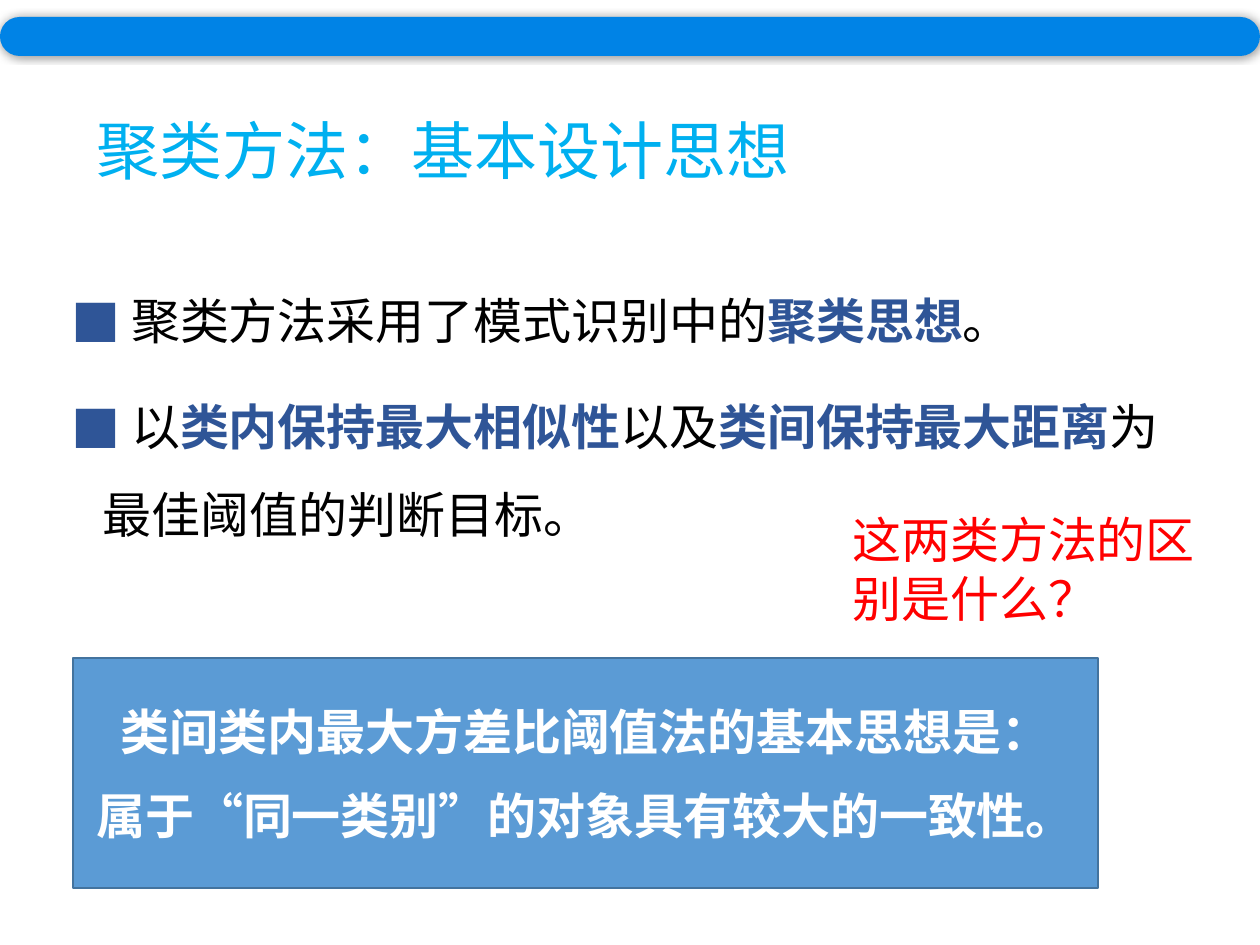
from dataclasses import dataclass

from lxml.etree import SubElement
from pptx import Presentation
from pptx.dml.color import RGBColor
from pptx.enum.shapes import MSO_SHAPE
from pptx.enum.text import MSO_ANCHOR, MSO_AUTO_SIZE, PP_ALIGN
from pptx.oxml.ns import qn
from pptx.util import Emu, Pt


@dataclass(frozen=True)
class Theme:
    font: str = "Noto Sans CJK SC"
    title_size: int = 36
    text_size: int = 28
    title: str = "00B0F0"
    text: str = "000000"
    accent: str = "2F5597"
    question: str = "FF0000"
    banner: str = "0083E6"
    panel: str = "5B9BD5"
    panel_line: str = "43739E"
    panel_text: str = "FFFFFF"


theme = Theme()


def px(*lengths):
    """Turn pixels (126 to the inch) into EMU."""
    return [Emu(round(length * 914400 / 126)) for length in lengths]


def write(frame, paragraphs, size=theme.text_size, color=theme.text, bold=False,
          align=PP_ALIGN.LEFT, anchor=MSO_ANCHOR.TOP, line=1.0, before=0, bullet=None):
    """Fill a frame; each paragraph is a list of spans, every second one emphasised."""
    frame.word_wrap = True
    frame.vertical_anchor = anchor
    for index, spans in enumerate(paragraphs):
        para = frame.paragraphs[0] if index == 0 else frame.add_paragraph()
        para.alignment, para.line_spacing, para.space_before = align, line, Pt(before)
        if bullet:
            properties = para._p.get_or_add_pPr()
            properties.set("marL", "228600")
            properties.set("indent", "-228600")
            bullet_color = SubElement(properties, qn("a:buClr"))
            SubElement(bullet_color, qn("a:srgbClr"), val=theme.accent)
            SubElement(properties, qn("a:buFont"), typeface=theme.font)
            SubElement(properties, qn("a:buChar"), char=bullet)
        for position, text in enumerate(spans):
            emphasised = position % 2 == 1
            span = para.add_run()
            span.text = text
            span.font.name = theme.font
            span.font.size = Pt(size)
            span.font.bold = bold or emphasised
            span.font.color.rgb = RGBColor.from_string(theme.accent if emphasised else color)
            SubElement(span._r.get_or_add_rPr(), qn("a:ea"), typeface=theme.font)


deck = Presentation()
deck.slide_width, deck.slide_height = px(1260, 945)
page = deck.slides.add_slide(deck.slide_layouts[5])

# Title
title = page.shapes.title
title.left, title.top, title.width, title.height = px(84, 76, 1071, 157)
write(title.text_frame, [["聚类方法：基本设计思想"]], size=theme.title_size,
      color=theme.title, anchor=MSO_ANCHOR.MIDDLE, line=0.9)

# Bulleted points
points = page.shapes.add_textbox(*px(59, 255, 1149, 358))
write(points.text_frame, [
    [" 聚类方法采用了模式识别中的", "聚类思想", "。"],
    [" 以", "类内保持最大相似性", "以及", "类间保持最大距离", "为最佳阈值的判断目标。"],
], line=1.5, before=10, bullet="■")

# Banner with a soft shadow
banner = page.shapes.add_shape(MSO_SHAPE.ROUNDED_RECTANGLE, *px(0, 17, 1260, 39))
banner.adjustments[0] = 0.5
banner.fill.solid()
banner.fill.fore_color.rgb = RGBColor.from_string(theme.banner)
banner.line.fill.background()
banner.shadow.inherit = False
effects = banner._element.spPr.find(qn("a:effectLst"))
shadow = SubElement(effects, qn("a:outerShdw"), blurRad=str(Pt(5)), dist="0", dir="0",
                    algn="ctr", rotWithShape="0")
shadow_color = SubElement(shadow, qn("a:srgbClr"), val="000000")
SubElement(shadow_color, qn("a:alpha"), val="40000")

# Key idea panel
panel = page.shapes.add_shape(MSO_SHAPE.RECTANGLE, *px(73, 658, 1025, 230))
panel.shadow.inherit = False
panel.fill.solid()
panel.fill.fore_color.rgb = RGBColor.from_string(theme.panel)
panel.line.color.rgb = RGBColor.from_string(theme.panel_line)
panel.line.width = Pt(1)
write(panel.text_frame, [
    ["类间类内最大方差比阈值法的基本思想是："],
    ["属于“同一类别”的对象具有较大的一致性。"],
], color=theme.panel_text, bold=True, align=PP_ALIGN.CENTER,
    anchor=MSO_ANCHOR.MIDDLE, before=14)

# Question
question = page.shapes.add_textbox(*px(840, 503, 368, 131))
question.text_frame.auto_size = MSO_AUTO_SIZE.SHAPE_TO_FIT_TEXT
write(question.text_frame, [["这两类方法的区别是什么？"]], color=theme.question)

deck.save("out.pptx")
